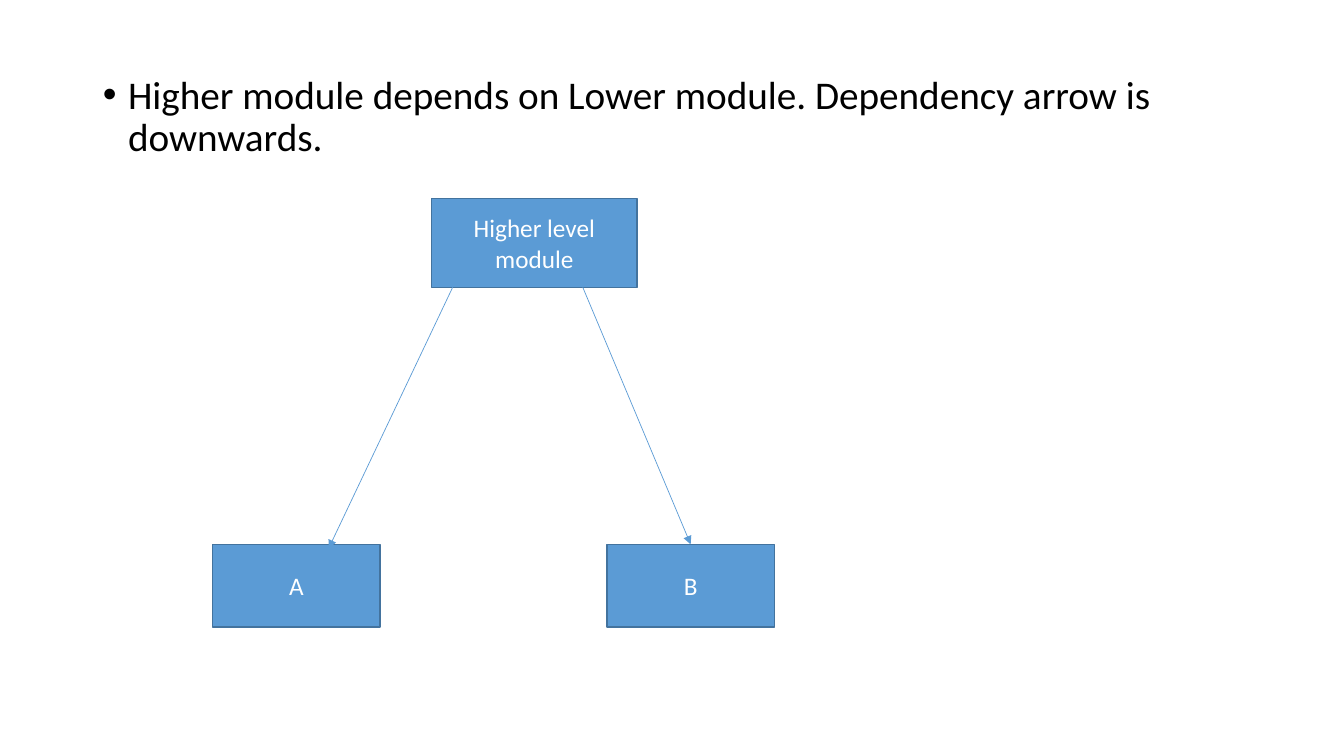
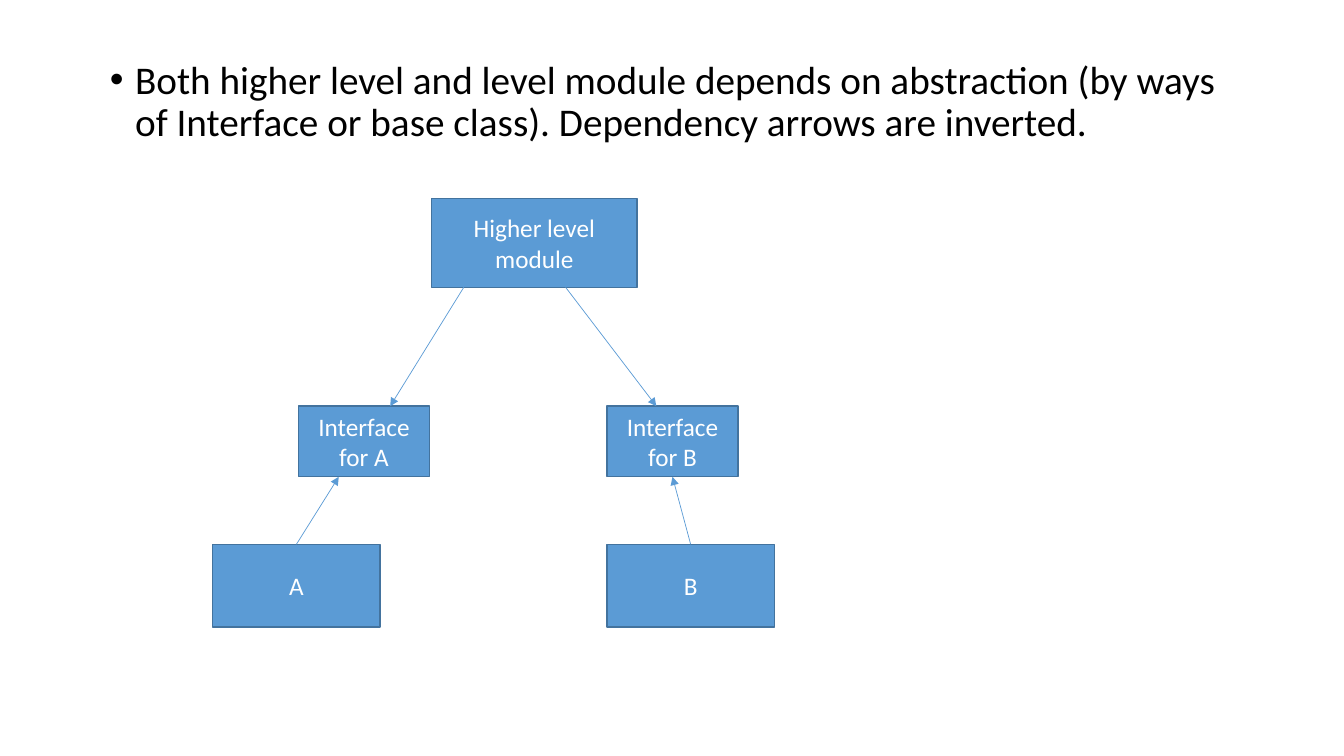
from pptx import Presentation
from pptx.dml.color import RGBColor
from pptx.enum.shapes import MSO_CONNECTOR, MSO_SHAPE
from pptx.enum.text import MSO_ANCHOR, MSO_AUTO_SIZE, PP_ALIGN
from pptx.oxml.xmlchemy import OxmlElement
from pptx.util import Pt

# Shared scale and style
PX = 9144  # 100 px to the inch
SLIDE_W, SLIDE_H = 1333, 750
FONT = "Calibri"
BLACK = RGBColor(0x00, 0x00, 0x00)
WHITE = RGBColor(0xFF, 0xFF, 0xFF)
BLUE = RGBColor(0x5B, 0x9B, 0xD5)
DARK_BLUE = RGBColor(0x43, 0x73, 0x9E)
RECTANGLE = MSO_SHAPE.RECTANGLE
STRAIGHT = MSO_CONNECTOR.STRAIGHT
MIDDLE = MSO_ANCHOR.MIDDLE
TOP = MSO_ANCHOR.TOP
CENTER = PP_ALIGN.CENTER
LEFT = PP_ALIGN.LEFT
NO_AUTOFIT = MSO_AUTO_SIZE.NONE
BULLET_LAYOUT = 1
BULLET_INDENT = 25

# Module boxes: left, top, width, height
HIGHER = (428, 197, 204, 88)
MODULE_A = (211, 540, 166, 82)
MODULE_B = (602, 540, 166, 82)
INTERFACE_A = (296, 403, 130, 70)
INTERFACE_B = (602, 403, 130, 70)
MODULES = [(HIGHER, "Higher level module"), (MODULE_A, "A"), (MODULE_B, "B")]
INTERFACES = [(INTERFACE_A, "Interface for A"), (INTERFACE_B, "Interface for B")]


def emu(*lengths):
    return [length * PX for length in lengths]


def add_text(paragraph, text, size, color):
    run = paragraph.add_run()
    run.text = text
    run.font.name = FONT
    run.font.size = Pt(size)
    run.font.color.rgb = color


def add_xml(parent, tag, **attributes):
    element = OxmlElement(tag)
    for name, value in attributes.items():
        element.set(name, value)
    parent.append(element)


def add_statement(slide, box, text):
    """Fill the body placeholder with one bulleted statement."""
    body = slide.placeholders[1]
    body.left, body.top, body.width, body.height = emu(*box)
    frame = body.text_frame
    frame.word_wrap = True
    frame.auto_size = NO_AUTOFIT
    frame.vertical_anchor = TOP
    paragraph = frame.paragraphs[0]
    paragraph.alignment = LEFT
    paragraph.line_spacing = 0.9
    paragraph.space_before = Pt(10)
    add_text(paragraph, text, 28, BLACK)
    properties = paragraph._p.get_or_add_pPr()
    properties.set("marL", str(BULLET_INDENT * PX))
    properties.set("indent", str(-BULLET_INDENT * PX))
    add_xml(properties, "a:buFont", typeface="Arial")
    add_xml(properties, "a:buChar", char="•")


def add_module(slide, box, label):
    module = slide.shapes.add_shape(RECTANGLE, *emu(*box))
    module.shadow.inherit = False
    module.fill.solid()
    module.fill.fore_color.rgb = BLUE
    module.line.color.rgb = DARK_BLUE
    module.line.width = Pt(1)
    frame = module.text_frame
    frame.word_wrap = True
    frame.vertical_anchor = MIDDLE
    paragraph = frame.paragraphs[0]
    paragraph.alignment = CENTER
    add_text(paragraph, label, 18, WHITE)


def add_dependency(slide, start, end):
    """Draw an arrow from a module to what it depends on."""
    arrow = slide.shapes.add_connector(STRAIGHT, *emu(*start, *end))
    arrow.line.color.rgb = BLUE
    arrow.line.width = Pt(0.5)
    add_xml(arrow.line._get_or_add_ln(), "a:tailEnd", type="triangle")
    add_xml(arrow._element.spPr, "a:effectLst")


def bottom_of(box, offset):
    left, top, _, height = box
    return left + offset, top + height


def top_of(box, offset):
    return box[0] + offset, box[1]


def add_diagram_slide(prs, statement_box, statement, modules, dependencies):
    slide = prs.slides.add_slide(prs.slide_layouts[BULLET_LAYOUT])
    title = slide.shapes.title._element
    title.getparent().remove(title)
    add_statement(slide, statement_box, statement)
    for box, label in modules:
        add_module(slide, box, label)
    for start, end in dependencies:
        add_dependency(slide, start, end)


def main():
    prs = Presentation()
    prs.slide_width, prs.slide_height = emu(SLIDE_W, SLIDE_H)

    # Direct dependency: arrows point down to the lower modules
    add_diagram_slide(
        prs, (92, 70, 1150, 605),
        "Higher module depends on Lower module. Dependency arrow is downwards.",
        MODULES,
        [(bottom_of(HIGHER, 21), (326, 544)),
         (bottom_of(HIGHER, 150), top_of(MODULE_B, 83))])

    # Inverted dependency: both levels point to the interfaces
    add_diagram_slide(
        prs, (99, 55, 1143, 621),
        "Both higher level and level module depends on abstraction (by ways of "
        "Interface or base class). Dependency arrows are inverted.",
        MODULES + INTERFACES,
        [(bottom_of(HIGHER, 32), top_of(INTERFACE_A, 91)),
         (top_of(MODULE_A, 83), bottom_of(INTERFACE_A, 40)),
         (bottom_of(HIGHER, 133), top_of(INTERFACE_B, 49)),
         (top_of(MODULE_B, 83), bottom_of(INTERFACE_B, 65))])

    prs.save("out.pptx")


if __name__ == "__main__":
    main()
